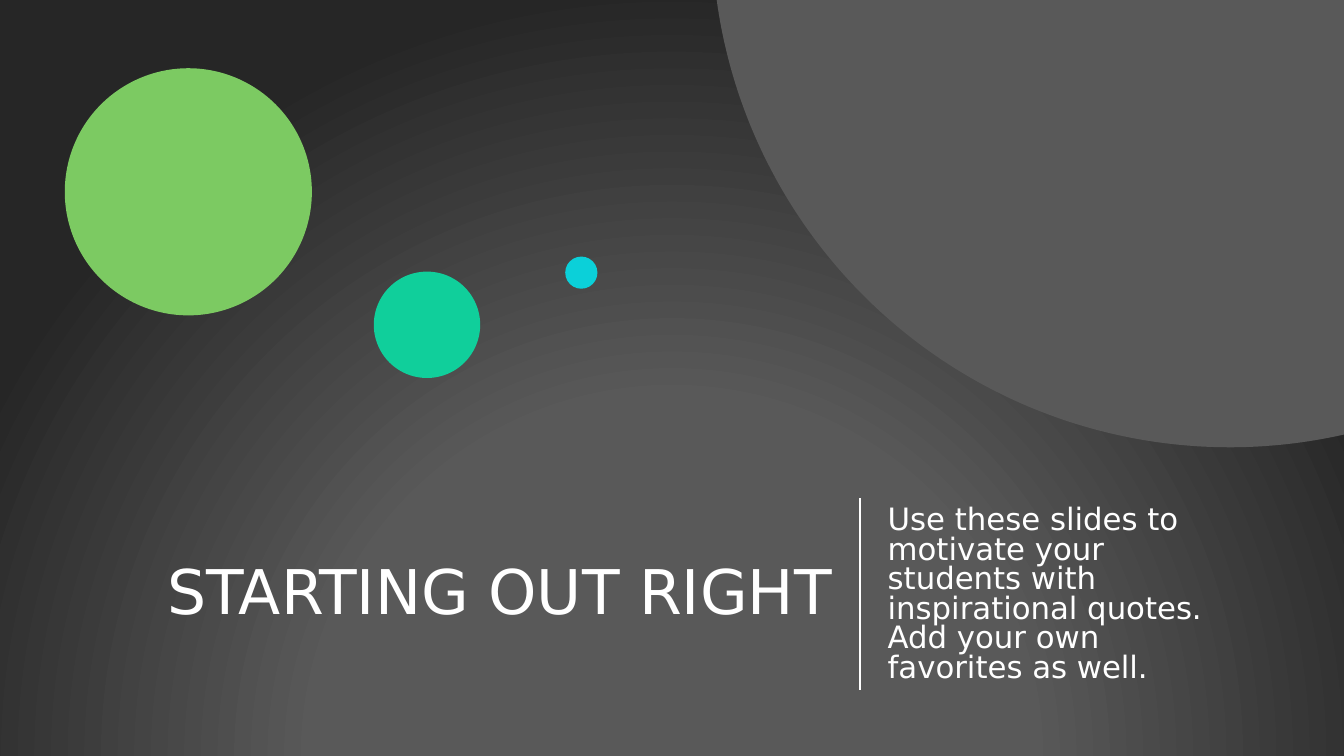
from dataclasses import dataclass
from math import acos, asin, cos, pi, sin

from lxml.etree import SubElement
from pptx import Presentation
from pptx.dml.color import RGBColor
from pptx.enum.shapes import MSO_CONNECTOR, MSO_SHAPE
from pptx.enum.text import MSO_ANCHOR, MSO_AUTO_SIZE, PP_ALIGN
from pptx.oxml.ns import qn
from pptx.util import Pt

WIDTH, HEIGHT = 960, 540


@dataclass(frozen=True)
class Theme:
    font: str = "DejaVu Sans"
    text: str = "FFFFFF"
    light_gray: str = "595959"
    dark_gray: str = "262626"
    green: str = "7CCA62"
    teal: str = "10CF9B"
    cyan: str = "0BD0D9"
    title_size: int = 44
    subtitle_size: int = 22


class SlideBuilder:
    """Draw styled elements on one slide, with lengths in points."""

    def __init__(self, slide, theme):
        self.slide = slide
        self.theme = theme

    def radial_background(self, inner, outer):
        self.slide.background.fill.gradient()
        gradient = self.slide.element.find(".//" + qn("a:gradFill"))
        for child in list(gradient):
            gradient.remove(child)
        stops = SubElement(gradient, qn("a:gsLst"))
        for position, color in ((46, inner), (100, outer)):
            stop = SubElement(stops, qn("a:gs"), pos=str(position * 1000))
            SubElement(stop, qn("a:srgbClr"), val=color)
        circle = SubElement(gradient, qn("a:path"), attrib={"path": "circle"})
        SubElement(circle, qn("a:fillToRect"), l="50000", t="130000", r="50000", b="-30000")

    def fill(self, shape, color):
        shape.shadow.inherit = False
        shape.fill.solid()
        shape.fill.fore_color.rgb = RGBColor.from_string(color)
        shape.line.fill.background()

    def circle(self, left, top, diameter, color):
        shape = self.slide.shapes.add_shape(
            MSO_SHAPE.OVAL, Pt(left), Pt(top), Pt(diameter), Pt(diameter))
        self.fill(shape, color)

    def corner_disc(self, center_x, center_y, radius, color, steps=120):
        start = acos((WIDTH - center_x) / radius)
        end = pi - asin(-center_y / radius)
        angles = [start + (end - start) * step / steps for step in range(steps + 1)]
        arc = [(center_x + radius * cos(angle), center_y + radius * sin(angle))
               for angle in angles]
        builder = self.slide.shapes.build_freeform(Pt(WIDTH), 0)
        builder.add_line_segments([(Pt(x), Pt(y)) for x, y in arc], close=True)
        self.fill(builder.convert_to_shape(), color)

    def vertical_line(self, x, top, bottom, width):
        line = self.slide.shapes.add_connector(
            MSO_CONNECTOR.STRAIGHT, Pt(x), Pt(top), Pt(x), Pt(bottom))
        line.line.color.rgb = RGBColor.from_string(self.theme.text)
        line.line.width = Pt(width)
        SubElement(line.element.spPr, qn("a:effectLst"))

    def title(self, text, left, top, width, height):
        shape = self.slide.shapes.title
        shape.left, shape.top = Pt(left), Pt(top)
        shape.width, shape.height = Pt(width), Pt(height)
        self.format_text(shape, text, self.theme.title_size, PP_ALIGN.RIGHT, 0.9)

    def text(self, text, left, top, width, height):
        shape = self.slide.shapes.add_textbox(Pt(left), Pt(top), Pt(width), Pt(height))
        self.format_text(shape, text, self.theme.subtitle_size, PP_ALIGN.LEFT, 0.8)

    def format_text(self, shape, text, size, alignment, line_spacing):
        frame = shape.text_frame
        frame.word_wrap = True
        frame.auto_size = MSO_AUTO_SIZE.NONE
        frame.vertical_anchor = MSO_ANCHOR.MIDDLE
        paragraph = frame.paragraphs[0]
        paragraph.text = text
        paragraph.alignment = alignment
        paragraph.line_spacing = line_spacing
        paragraph.space_before = Pt(0)
        paragraph.font.name = self.theme.font
        paragraph.font.size = Pt(size)
        paragraph.font.color.rgb = RGBColor.from_string(self.theme.text)


def main():
    presentation = Presentation()
    presentation.slide_width, presentation.slide_height = Pt(WIDTH), Pt(HEIGHT)
    theme = Theme()
    slide = presentation.slides.add_slide(presentation.slide_layouts.get_by_name("Title Only"))
    builder = SlideBuilder(slide, theme)

    builder.radial_background(theme.light_gray, theme.dark_gray)
    builder.title("STARTING OUT RIGHT", 66, 356.5, 536, 137)
    builder.text(
        "Use these slides to motivate your students with inspirational quotes. "
        "Add your own favorites as well.", 627, 357, 256.5, 137)
    builder.vertical_line(614.25, 356, 493, 1.5)
    for left, top, diameter, color in (
        (46.25, 48.75, 176.5, theme.green),
        (267, 194, 76, theme.teal),
        (403.75, 183.25, 23, theme.cyan),
    ):
        builder.circle(left, top, diameter, color)
    builder.corner_disc(878.5, -50.5, 370, theme.light_gray)

    presentation.save("out.pptx")


if __name__ == "__main__":
    main()
